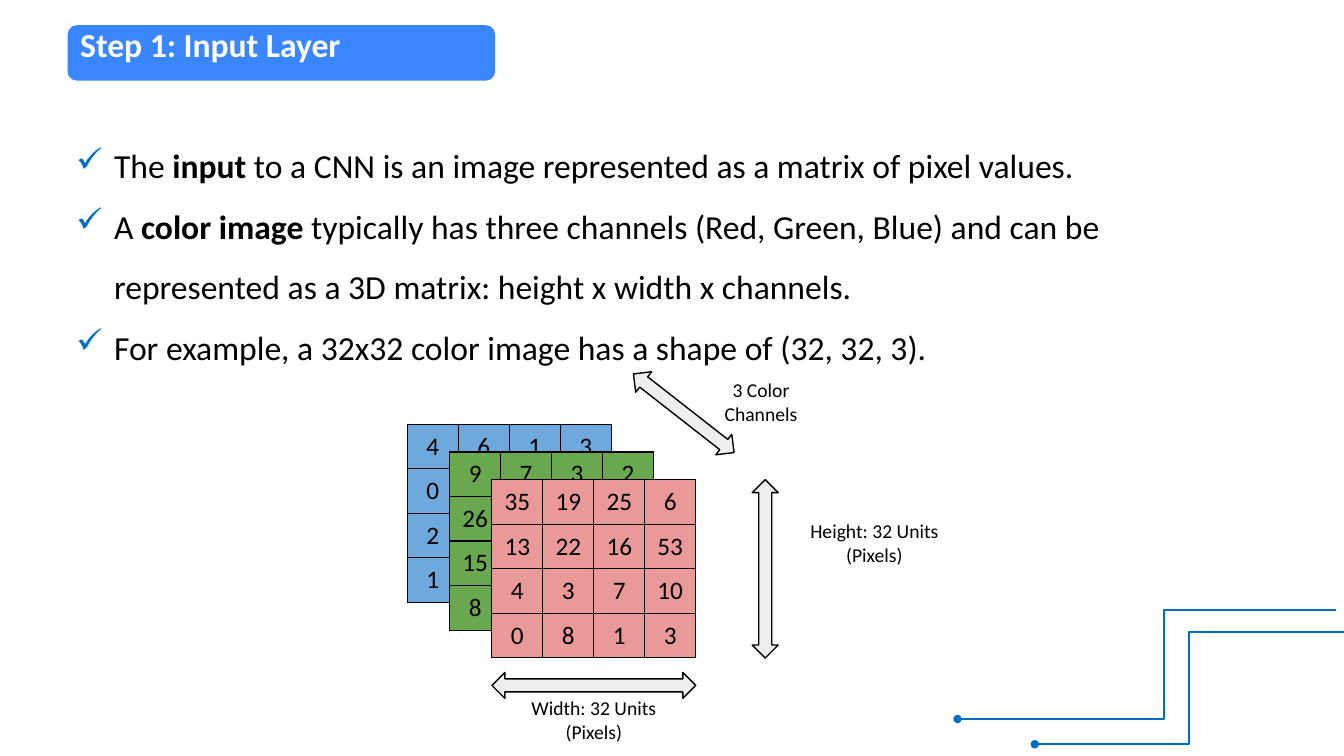
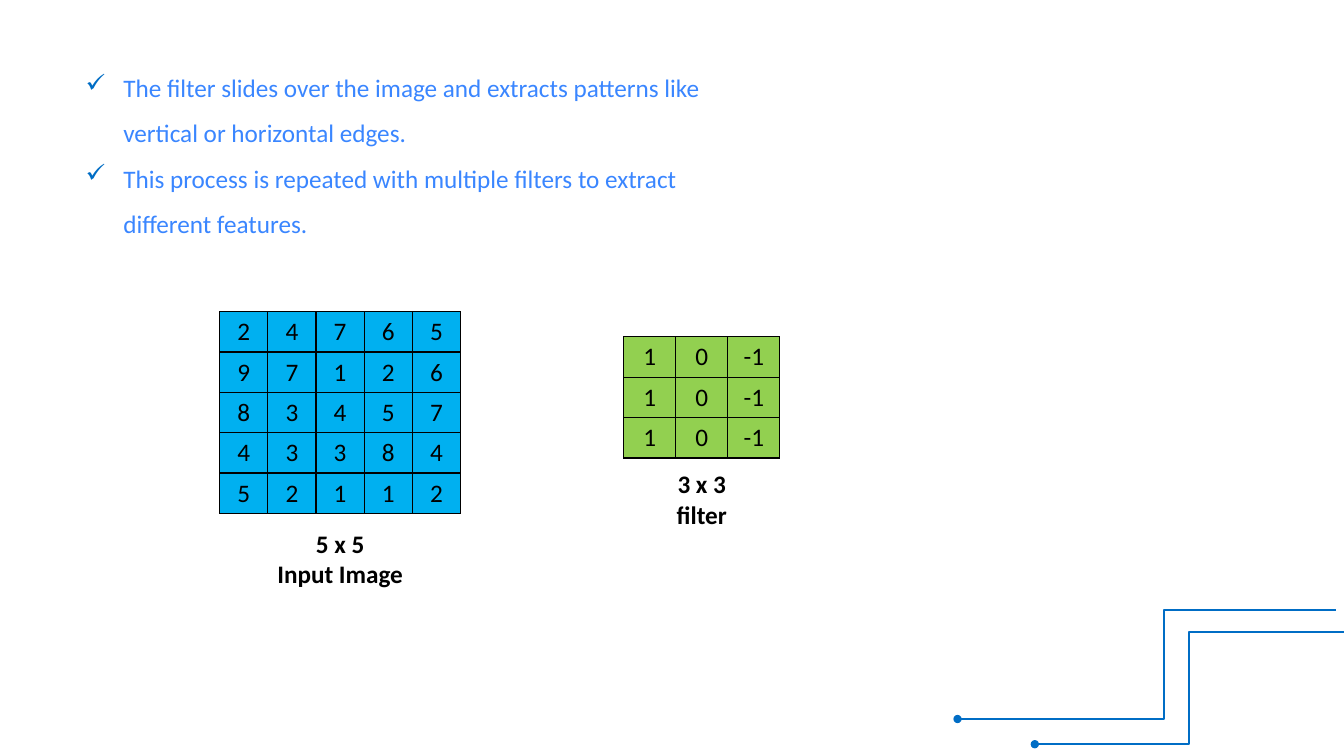
import pptx
import pptx.dml.color
import pptx.enum.shapes
import pptx.enum.text
import pptx.oxml.ns
import pptx.util
from lxml import etree

RGBColor = pptx.dml.color.RGBColor
Shape = pptx.enum.shapes.MSO_SHAPE
Align = pptx.enum.text.PP_ALIGN
Anchor = pptx.enum.text.MSO_ANCHOR
qn = pptx.oxml.ns.qn

WHITE = RGBColor(0xFF, 0xFF, 0xFF)
BLACK = RGBColor(0x00, 0x00, 0x00)
BRIGHT_BLUE = RGBColor(0x3A, 0x86, 0xFF)
TRACE_BLUE = RGBColor(0x00, 0x6D, 0xC5)
ARROW_GREY = RGBColor(0xEE, 0xEE, 0xEE)
CHANNEL_BLUE = RGBColor(0x6F, 0xA8, 0xDC)
CHANNEL_GREEN = RGBColor(0x6A, 0xA8, 0x4F)
CHANNEL_RED = RGBColor(0xEA, 0x99, 0x99)
IMAGE_CYAN = RGBColor(0x00, 0xB0, 0xF0)
FILTER_GREEN = RGBColor(0x92, 0xD0, 0x50)

FONT = "Calibri"
COLUMNS, ROWS = 160, 90
UNIT = pptx.util.Inches(7.5) // ROWS


def grid(*lengths):
    return [round(length * UNIT) for length in lengths]


def add_xml(parent, tag, **attributes):
    return etree.SubElement(parent, qn(tag), attributes)


def add_check_mark(paragraph, indent=4.5):
    properties = paragraph._p.get_or_add_pPr()
    hang = grid(indent)[0]
    properties.set("marL", str(hang))
    properties.set("indent", str(-hang))
    add_xml(add_xml(properties, "a:buClr"), "a:srgbClr", val=str(TRACE_BLUE))
    add_xml(properties, "a:buChar", char="✓")


def write(frame, text, size=18, color=BLACK, bold=False, align=Align.LEFT,
          spacing=None, checked=False):
    """Fill a text frame: one paragraph a line, with bold toggled by asterisks."""
    for number, line in enumerate(text.split("\n")):
        paragraph = frame.add_paragraph() if number else frame.paragraphs[0]
        if checked:
            add_check_mark(paragraph)
        paragraph.alignment = align
        if spacing:
            paragraph.line_spacing = spacing
        for part, words in enumerate(line.split("*")):
            run = paragraph.add_run()
            run.text = words
            run.font.name = FONT
            run.font.size = pptx.util.Pt(size)
            run.font.bold = bold or part % 2 == 1
            run.font.color.rgb = color


class Deck:
    """Holds the shared style and the slide being built."""

    def __init__(self):
        self.presentation = pptx.Presentation()
        self.presentation.slide_width, self.presentation.slide_height = grid(COLUMNS, ROWS)
        self.shapes = None

    def new_slide(self):
        layout = self.presentation.slide_layouts[6]
        self.shapes = self.presentation.slides.add_slide(layout).shapes
        self.trace((159, 72.6), (114, 85.6), bend=0.455)
        self.trace((160, 75.25), (123.2, 88.6), bend=0.5)

    def trace(self, start, end, bend):
        """Draw a circuit trace that turns at a share of its width and ends in a dot."""
        elbow = pptx.enum.shapes.MSO_CONNECTOR.ELBOW
        trace = self.shapes.add_connector(elbow, *grid(*start, *end))
        trace.line.color.rgb = TRACE_BLUE
        trace.line.width = pptx.util.Pt(1.5)
        properties = trace._element.spPr
        add_xml(properties.find(qn("a:ln")), "a:tailEnd", type="oval")
        add_xml(properties, "a:effectLst")
        turns = properties.find(qn("a:prstGeom")).get_or_add_avLst()
        add_xml(turns, "a:gd", name="adj1", fmla=f"val {round(bend * 100000)}")

    def shape(self, kind, place, fill, outline=None):
        shape = self.shapes.add_shape(kind, *grid(*place))
        shape.shadow.inherit = False
        shape.fill.solid()
        shape.fill.fore_color.rgb = fill
        if outline is None:
            shape.line.fill.background()
        else:
            shape.line.color.rgb = outline
            shape.line.width = pptx.util.Pt(1)
        return shape

    def title(self, text):
        band = self.shape(Shape.ROUNDED_RECTANGLE, (8.05, 3, 50.9, 6.6), BRIGHT_BLUE)
        band.text_frame.word_wrap = True
        band.text_frame.vertical_anchor = Anchor.MIDDLE
        write(band.text_frame, text, size=24, color=WHITE, bold=True,
              spacing=pptx.util.Pt(15.7))

    def checklist(self, place, text, **style):
        frame = self.shapes.add_textbox(*grid(*place)).text_frame
        frame.word_wrap = True
        write(frame, text, spacing=1.5, checked=True, **style)

    def label(self, center, top, text, width=18, height=6.8, **style):
        box = self.shapes.add_textbox(*grid(center - width / 2, top, width, height))
        box.text_frame.word_wrap = False
        write(box.text_frame, text, align=Align.CENTER, **style)

    def arrow(self, center, middle, length, rotation=0, thickness=3.1):
        place = (center - length / 2, middle - thickness / 2, length, thickness)
        arrow = self.shape(Shape.LEFT_RIGHT_ARROW, place, ARROW_GREY, outline=BLACK)
        arrow.rotation = rotation

    def matrix(self, left, top, values, cell_width, cell_height, fill):
        """Draw rows of numbers as a table; return its centre, middle, width and height."""
        row_count, column_count = len(values), len(values[0])
        width, height = column_count * cell_width, row_count * cell_height
        table = self.shapes.add_table(
            row_count, column_count, *grid(left, top, width, height)).table
        table.first_row = table.horz_banding = False
        for row, numbers in enumerate(values):
            for column, number in enumerate(numbers):
                cell = table.cell(row, column)
                self.border(cell)
                cell.fill.solid()
                cell.fill.fore_color.rgb = fill
                cell.vertical_anchor = Anchor.MIDDLE
                if number is not None:
                    write(cell.text_frame, str(number), align=Align.CENTER)
        return left + width / 2, top + height / 2, width, height

    def border(self, cell):
        properties = cell._tc.get_or_add_tcPr()
        for side in "LRTB":
            edge = add_xml(properties, f"a:ln{side}", w=str(pptx.util.Pt(1)))
            add_xml(add_xml(edge, "a:solidFill"), "a:srgbClr", val=str(BLACK))


def covered(first_row, first_column):
    """Values of a channel of which only the top row and left column are seen."""
    hidden = [None] * (len(first_row) - 1)
    return [first_row] + [[number] + hidden for number in first_column]


def input_layer(deck):
    deck.new_slide()
    deck.checklist(
        (7.9, 14.3, 133.7, 29.5),
        "The *input* to a CNN is an image represented as a matrix of pixel values.\n"
        "A *color image* typically has three channels (Red, Green, Blue) and can be "
        "represented as a 3D matrix: height x width x channels.\n"
        "For example, a 32x32 color image has a shape of (32, 32, 3).",
        size=24)
    channels = [
        (CHANNEL_BLUE, covered([4, 6, 1, 3], [0, 2, 1])),
        (CHANNEL_GREEN, covered([9, 7, 3, 2], [26, 15, 8])),
        (CHANNEL_RED, [[35, 19, 25, 6], [13, 22, 16, 53], [4, 3, 7, 10], [0, 8, 1, 3]]),
    ]
    for depth, (fill, values) in enumerate(channels):
        center, middle, width, height = deck.matrix(
            48.5 + 5.03 * depth, 50.5 + 3.3 * depth, values, 6.07, 5.31, fill)

    deck.arrow(81.4, 49.2, 15.2, rotation=38)
    deck.arrow(91.1, middle, height, rotation=90)
    deck.arrow(center, 81.6, width)
    deck.label(90.6, 44.4, "3 Color Channels", height=4.1, size=14)
    deck.label(104.1, 61.2, "Height: 32 Units\n(Pixels)", size=14)
    deck.label(center, 82.3, "Width: 32 Units\n(Pixels)", size=14)
    deck.title("Step 1: Input Layer")


def sliding_filter(deck):
    deck.new_slide()
    deck.checklist(
        (9, 6.2, 80, 22.4),
        "The filter slides over the image and extracts patterns like "
        "vertical or horizontal edges.\n"
        "This process is repeated with multiple filters to extract different features.",
        color=BRIGHT_BLUE)
    pixels = [[2, 4, 7, 6, 5], [9, 7, 1, 2, 6], [8, 3, 4, 5, 7],
              [4, 3, 3, 8, 4], [5, 2, 1, 1, 2]]
    edge_filter = [[1, 0, -1]] * 3
    grids = [
        (26.15, 37.1, pixels, 5.74, IMAGE_CYAN, 62.3, "5 x 5\nInput Image"),
        (74.25, 40.1, edge_filter, 6.2, FILTER_GREEN, 55.2, "3 x 3\nfilter"),
    ]
    for left, top, values, cell_width, fill, caption_top, caption in grids:
        center = deck.matrix(left, top, values, cell_width, 4.8, fill)[0]
        deck.label(center, caption_top, caption, height=8.5, bold=True)


def main():
    deck = Deck()
    input_layer(deck)
    sliding_filter(deck)
    deck.presentation.save("out.pptx")


if __name__ == "__main__":
    main()
